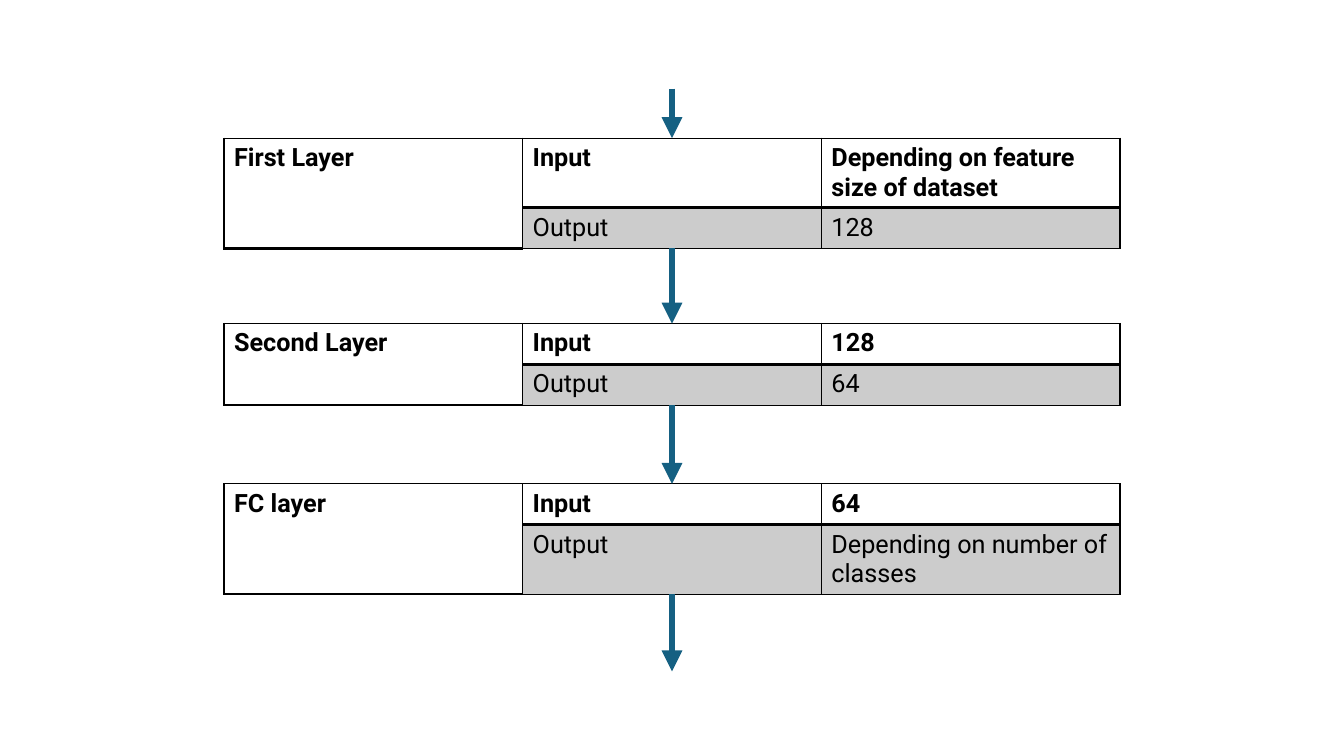
from lxml import etree
from pptx import Presentation, util as u
from pptx.dml.color import RGBColor
from pptx.enum import shapes
from pptx.oxml import ns

COLUMNS, ROWS = 12, 100
LEFT, SPAN, CENTRE = 2, 8, 6
LINE_ROWS = {1: 5.4, 2: 9.2}
BORDERS = {"lnL": 1, "lnR": 1, "lnT": 1, "lnB": 2}
OUTPUT_BORDERS = {**BORDERS, "lnB": 1}
LAYERS = [
    (18.27, "First Layer", ("Depending on feature size of dataset", 2), ("128", 1)),
    (42.8, "Second Layer", ("128", 1), ("64", 1)),
    (64, "FC layer", ("64", 1), ("Depending on number of classes", 2)),
]
FLOW_START, FLOW_END = 11.73, 88.8


def colour(value):
    return RGBColor.from_string(value)


def add_node(parent, tag, **attributes):
    return etree.SubElement(parent, ns.qn(tag), attributes)


class LayerDiagram:
    ink, arrow_colour = "000000", "156082"
    font = {"name": "Roboto", "size": u.Pt(18)}

    def __init__(self):
        self.deck = Presentation()
        self.deck.slide_width = u.Inches(13.33)
        self.deck.slide_height = u.Inches(7.5)
        self.slide = self.deck.slides.add_slide(self.deck.slide_layouts[6])

    def x(self, columns):
        return round(self.deck.slide_width * columns / COLUMNS)

    def y(self, rows):
        return round(self.deck.slide_height * rows / ROWS)

    def cell(self, cell, wording, bold, borders, shaded=False):
        cell.text = wording
        run = cell.text_frame.paragraphs[0].runs[0]
        for name, value in {**self.font, "bold": bold}.items():
            setattr(run.font, name, value)
        run.font.color.rgb = colour(self.ink)
        properties = cell._tc.get_or_add_tcPr()
        for side, points in borders.items():
            edge = add_node(properties, f"a:{side}", w=str(u.Pt(points)))
            add_node(add_node(edge, "a:solidFill"), "a:srgbClr", val=self.ink)
        if shaded:
            cell.fill.solid()
            cell.fill.fore_color.rgb = colour(self.ink)
            tint = properties.find(ns.qn("a:solidFill")).find(ns.qn("a:srgbClr"))
            add_node(tint, "a:alpha", val="20000")
        else:
            cell.fill.background()

    def layer(self, top, title, entry, result):
        heights = [LINE_ROWS[lines] for _, lines in (entry, result)]
        layer = self.slide.shapes.add_table(
            2, 3, self.x(LEFT), self.y(top), self.x(SPAN), self.y(sum(heights))
        ).table
        for option in ("first_row", "horz_banding"):
            setattr(layer, option, False)
        for row, height in zip(layer.rows, heights):
            row.height = self.y(height)
        layer.cell(0, 0).merge(layer.cell(1, 0))
        self.cell(layer.cell(0, 0), title, True, BORDERS)
        for column, wording in enumerate(("Input", entry[0]), 1):
            self.cell(layer.cell(0, column), wording, True, BORDERS)
        for column, wording in enumerate(("Output", result[0]), 1):
            self.cell(layer.cell(1, column), wording, False, OUTPUT_BORDERS, True)
        return top + sum(heights)

    def arrow(self, start, end):
        arrow = self.slide.shapes.add_connector(
            shapes.MSO_CONNECTOR.STRAIGHT,
            self.x(CENTRE), self.y(start), self.x(CENTRE), self.y(end),
        )
        arrow.line.width = u.Pt(5)
        arrow.line.color.rgb = colour(self.arrow_colour)
        add_node(arrow.line._get_or_add_ln(), "a:tailEnd", type="triangle")
        add_node(arrow._element.spPr, "a:effectLst")


def main():
    diagram = LayerDiagram()
    bottoms = [diagram.layer(*layer) for layer in LAYERS]
    tops = [layer[0] for layer in LAYERS]
    for start, end in zip([FLOW_START, *bottoms], [*tops, FLOW_END]):
        diagram.arrow(start, end)
    diagram.deck.save("out.pptx")


if __name__ == "__main__":
    main()
